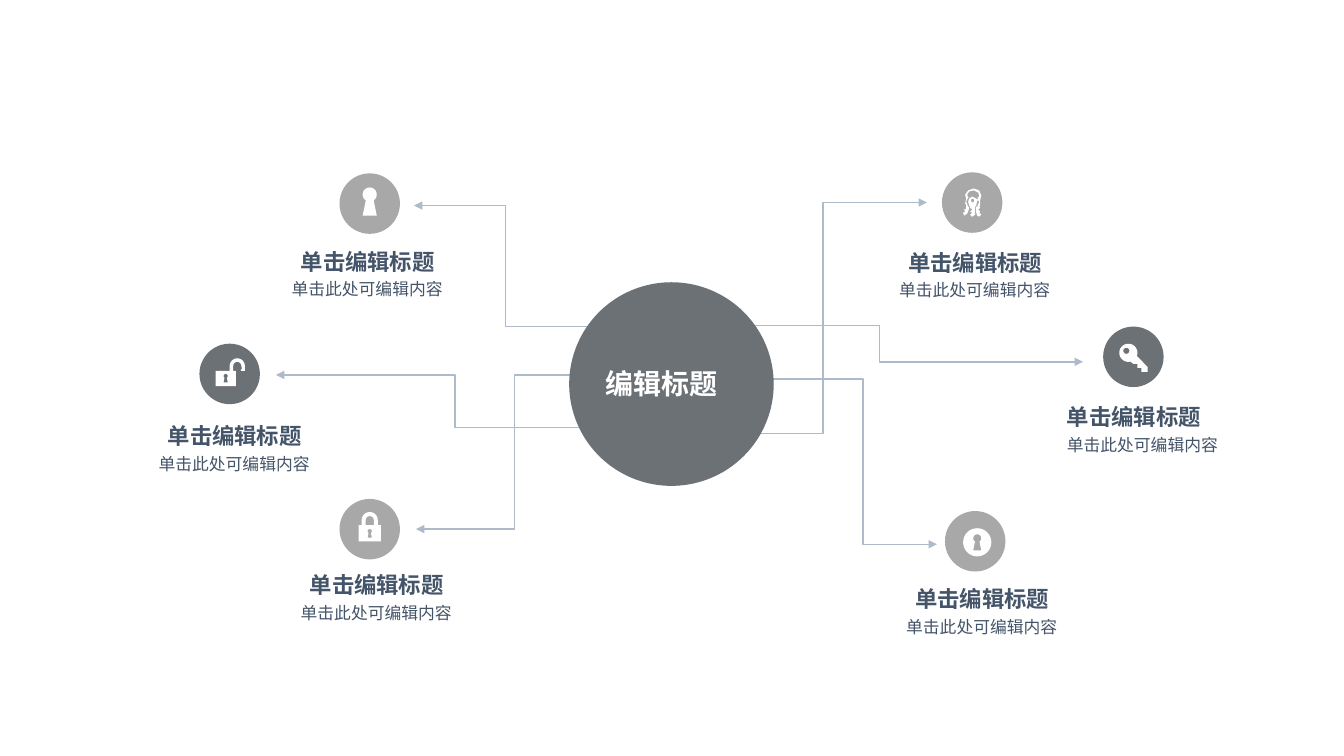
import math
import pptx
import pptx.util
import pptx.dml.color
import pptx.enum.shapes
import pptx.enum.text
import pptx.oxml.ns
from lxml import etree

Inches = pptx.util.Inches
Pt = pptx.util.Pt
Align = pptx.enum.text.PP_ALIGN
Kind = pptx.enum.shapes.MSO_SHAPE
qn = pptx.oxml.ns.qn

THEME = {
    "font": "Arial", "light": "A8A8A8", "dark": "6C7176", "line": "ADBACA",
    "text": "445469", "white": "FFFFFF", "hub": 20, "head": 16, "body": 12,
}
HUB = "编辑标题"
HEAD = "单击编辑标题"
BODY = "单击此处可编辑内容"

ITEMS = [
    ("keyhole", 3.67, 2.02, "light", 2.58, 2.46, Align.CENTER),
    ("unlock", 2.28, 3.71, "dark", 1.26, 4.19, Align.CENTER),
    ("padlock", 3.67, 5.25, "light", 2.67, 5.67, Align.CENTER),
    ("keys", 9.65, 2.01, "light", 8.61, 2.47, Align.CENTER),
    ("key", 11.25, 3.54, "dark", 10.59, 4.0, Align.LEFT),
    ("disc", 9.68, 5.37, "light", 8.68, 5.81, Align.CENTER),
]
ARROWS = [
    (6.09, 3.72, 4.13, 5.25, 0.5),
    (6.29, 4.24, 2.74, 3.72, 0.5),
    (5.92, 3.24, 4.11, 2.04, 0.5),
    (7.17, 3.23, 10.75, 3.59, 0.436),
    (7.53, 3.76, 9.3, 5.4, 0.586),
    (7.18, 4.3, 9.2, 2.01, 0.49),
]
BUNCH = [
    (17, 17), (17, 11), (18, 7), (16, 2), (11, 0), (10, 0), (5, 2), (2, 6),
    (3, 10), (2, 15), (3, 16), (3, 20), (1, 21), (2, 23), (0, 24), (1, 27),
    (4, 25), (6, 20), (6, 18), (5, 18), (3, 13), (5, 9), (6, 8), (5, 9),
    (4, 6), (6, 3), (10, 2), (11, 2), (15, 4), (16, 7), (15, 9), (14, 9),
    (15, 10), (14, 11), (13, 10), (9, 8), (6, 10), (5, 13), (6, 17), (7, 18),
    (7, 19), (9, 21), (7, 23), (9, 24), (7, 26), (9, 28), (12, 26), (12, 18),
    (13, 17), (14, 12), (15, 12), (16, 13), (14, 18), (13, 18), (13, 24),
    (14, 27), (16, 28), (18, 26), (16, 24), (17, 23), (15, 21), (17, 19),
    (16, 18),
]
EYE = [(11, 13), (9, 14), (8, 13), (8, 11), (9, 10), (11, 11)]


def arc(x, y, r, start=0, end=360, steps=32):
    turns = [math.radians(start + (end - start) * i / steps) for i in range(steps + 1)]
    return [(x + r * math.cos(t), y + r * math.sin(t)) for t in turns]


def hole(x, y, size):
    return arc(x, y, 7 * size, 124, 416) + [
        (x + 7 * size, y + 21 * size), (x - 7 * size, y + 21 * size)]


def shift(points, x, y):
    return [(px + x, py + y) for px, py in points]


ICONS = {
    "keyhole": [hole(0, -9, 1)],
    "disc": [arc(2, 1, 14), hole(2, -3, 0.57)],
    "padlock": [
        [(-11, 12), (-11, -4), (-8, -4)] + arc(0, -9, 8, 180, 360)
        + [(8, -4), (11, -4), (11, 12)],
        [(-4, -4)] + arc(0, -9, 4, 180, 360) + [(4, -4)],
        hole(0, 2, 0.3),
    ],
    "unlock": [
        [(-14, 12), (-14, -3), (0, -3)] + arc(7.5, -8, 7.5, 180, 360)
        + [(15, -3), (11, -3), (11, -4), (12, -5), (12, -6)]
        + arc(7.5, -8, 4, 360, 180) + [(3.5, -3), (6, -3), (6, 12)],
        hole(-4, 2, 0.3),
    ],
    "key": [
        arc(-5, -4, 9, 77, 380)
        + [(14, 10), (14, 15), (8, 15), (8, 11), (4, 11), (4, 7), (0, 7)],
        arc(-7, -6, 3),
    ],
    "keys": [shift(BUNCH, -9, -14), shift(EYE, -9, -14)],
}


def color(name):
    return pptx.dml.color.RGBColor.from_string(THEME[name])


def paint(shape, name):
    shape.shadow.inherit = False
    shape.fill.solid()
    shape.fill.fore_color.rgb = color(name)
    shape.line.fill.background()


def oval(x, y, w, h, name):
    paint(shapes.add_shape(Kind.OVAL, Inches(x), Inches(y), Inches(w), Inches(h)), name)


def draw(icon, x, y):
    loops = [[(Inches(x + px / 100), Inches(y + py / 100)) for px, py in loop]
             for loop in ICONS[icon]]
    pen = shapes.build_freeform(*loops[0][0])
    for loop in loops:
        if loop is not loops[0]:
            pen.move_to(*loop[0])
        pen.add_line_segments(loop[1:], close=True)
    paint(pen.convert_to_shape(), "white")


def link(x1, y1, x2, y2, bend):
    wire = shapes.add_connector(pptx.enum.shapes.MSO_CONNECTOR.ELBOW,
                                Inches(x1), Inches(y1), Inches(x2), Inches(y2))
    wire.line.color.rgb = color("line")
    wire.line.width = Pt(1)
    props = wire._element.spPr
    etree.SubElement(props.find(qn("a:ln")), qn("a:tailEnd"), type="triangle")
    etree.SubElement(props, qn("a:effectLst"))
    guides = props.find(qn("a:prstGeom")).find(qn("a:avLst"))
    etree.SubElement(guides, qn("a:gd"), name="adj1", fmla=f"val {round(bend * 100000)}")


def write(box, words, size, name, align, bold, pad=(0, 0)):
    frame = box.text_frame
    frame.word_wrap = True
    frame.auto_size = pptx.enum.text.MSO_AUTO_SIZE.SHAPE_TO_FIT_TEXT
    frame.vertical_anchor = pptx.enum.text.MSO_ANCHOR.TOP
    frame.margin_left = frame.margin_right = Inches(pad[0])
    frame.margin_top = frame.margin_bottom = Inches(pad[1])
    para = frame.paragraphs[0]
    para.alignment = align
    run = para.add_run()
    run.text = words
    run.font.name = THEME["font"]
    run.font.size = Pt(THEME[size])
    run.font.bold = bold
    run.font.color.rgb = color(name)


def label(x, y, w, h, words, size, align, bold):
    box = shapes.add_textbox(Inches(x), Inches(y), Inches(w), Inches(h))
    write(box, words, size, "text", align, bold)


deck = pptx.Presentation()
deck.slide_width, deck.slide_height = Inches(13.34), Inches(7.5)
slide = deck.slides.add_slide(deck.slide_layouts[5])
shapes = slide.shapes

for arrow in ARROWS:
    link(*arrow)
oval(5.65, 2.8, 2.03, 2.02, "dark")

title = shapes.title
title.left, title.top = Inches(5.91), Inches(3.59)
title.width, title.height = Inches(1.43), Inches(0.44)
write(title, HUB, "hub", "white", Align.LEFT, True, (0.1, 0.05))
shapes._spTree.append(title._element)

for icon, x, y, fill, left, top, align in ITEMS:
    oval(x - 0.3, y - 0.3, 0.6, 0.6, fill)
    draw(icon, x, y)
    inset = 0.3 if align == Align.CENTER else 0
    label(left, top, 2.14, 0.27, HEAD, "head", align, True)
    label(left + inset, top + 0.31, 1.53, 0.2, BODY, "body", align, False)

deck.save("out.pptx")
